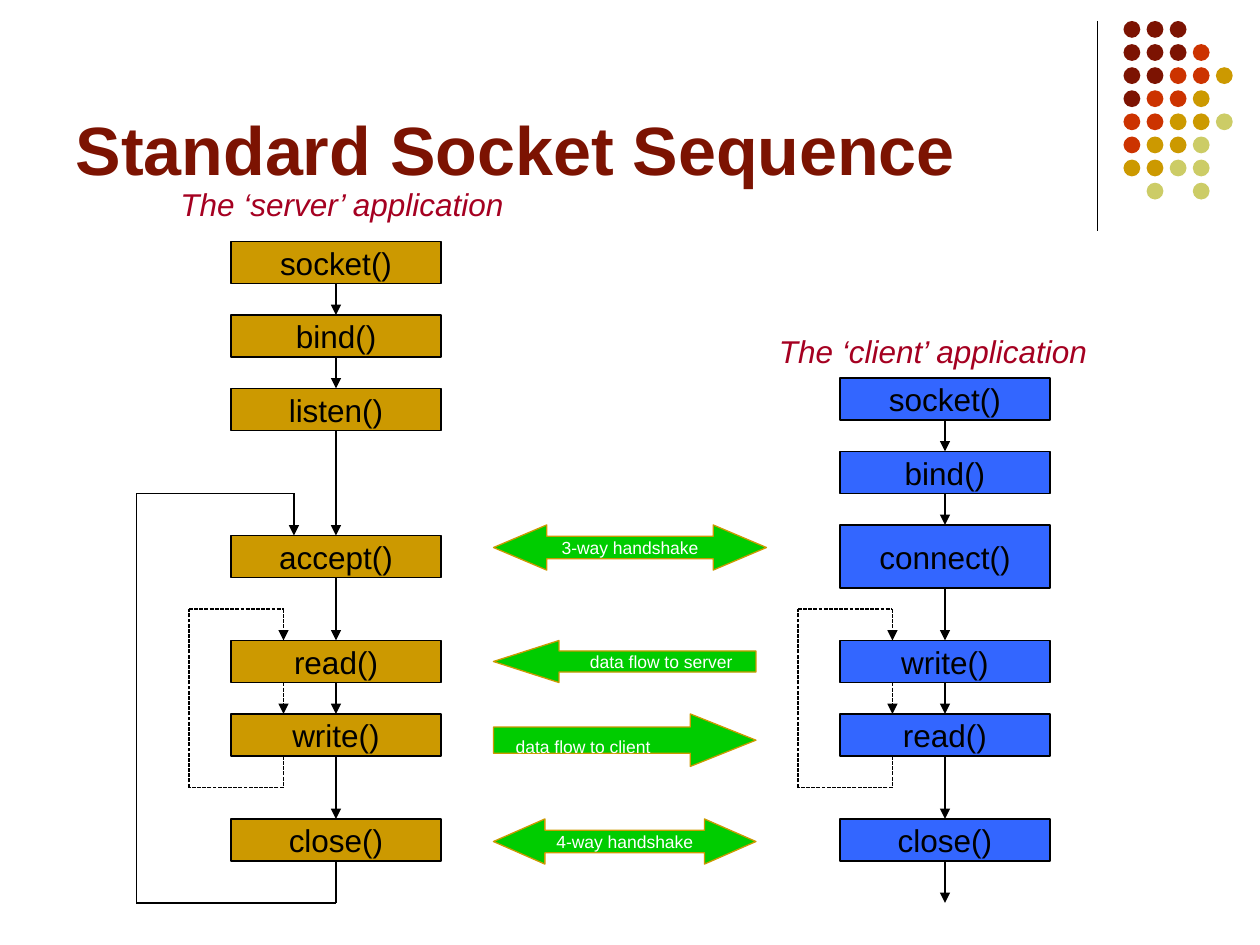
from lxml import etree
from pptx import Presentation
from pptx.dml.color import RGBColor
from pptx.enum.dml import MSO_LINE
from pptx.enum.shapes import MSO_CONNECTOR, MSO_SHAPE
from pptx.enum.text import MSO_ANCHOR, MSO_AUTO_SIZE, PP_ALIGN
from pptx.oxml.ns import qn
from pptx.util import Pt

SCALE = 7620  # EMU per px, 120 px to the inch
STRAIGHT = MSO_CONNECTOR.STRAIGHT
RECTANGLE, OVAL = MSO_SHAPE.RECTANGLE, MSO_SHAPE.OVAL
BOTH_WAYS = MSO_SHAPE.LEFT_RIGHT_ARROW
TO_LEFT, TO_RIGHT = MSO_SHAPE.LEFT_ARROW, MSO_SHAPE.RIGHT_ARROW
DASHED = MSO_LINE.SQUARE_DOT
LEFT, CENTER = PP_ALIGN.LEFT, PP_ALIGN.CENTER
TOP, MIDDLE, BOTTOM = MSO_ANCHOR.TOP, MSO_ANCHOR.MIDDLE, MSO_ANCHOR.BOTTOM
TOP_SIDE, BOTTOM_SIDE = 0, 2

BLACK = RGBColor(0x00, 0x00, 0x00)
WHITE = RGBColor(0xFF, 0xFF, 0xFF)
MAROON = RGBColor(0x7C, 0x13, 0x02)
RED = RGBColor(0xCC, 0x33, 0x00)
GOLD = RGBColor(0xCC, 0x99, 0x00)
LIME = RGBColor(0xCC, 0xCC, 0x66)
BLUE = RGBColor(0x33, 0x66, 0xFF)
GREEN = RGBColor(0x00, 0xCC, 0x00)
CRIMSON = RGBColor(0xA5, 0x00, 0x21)

TITLE = "Standard Socket Sequence"
DOT_COLORS = {"M": MAROON, "R": RED, "G": GOLD, "L": LIME}
DOT_ROWS = ["MMM", "MMMR", "MMRRG", "MRRG", "RRGGL", "RGGL", "GGLL", ".L.L"]
DOT_LEFT, DOT_TOP, DOT_SIZE, DOT_PITCH = 1070, 20, 16, 22

BOX_WIDTH, BOX_HEIGHT = 200, 40
# Each step: call, top, height
SERVER = {
    "caption": ("The ‘server’ application", 160, 170, 332, 48),
    "left": 220, "fill": GOLD,
    "steps": [("socket()", 230, BOX_HEIGHT), ("bind()", 300, BOX_HEIGHT),
              ("listen()", 370, BOX_HEIGHT), ("accept()", 510, BOX_HEIGHT),
              ("read()", 610, BOX_HEIGHT), ("write()", 680, BOX_HEIGHT),
              ("close()", 780, BOX_HEIGHT)],
    "exit": [(320, 820), (320, 860), (130, 860), (130, 470), (280, 470), (280, 510)],
}
CLIENT = {
    "caption": ("The ‘client’ application", 730, 310, 319, 48),
    "left": 800, "fill": BLUE,
    "steps": [("socket()", 360, BOX_HEIGHT), ("bind()", 430, BOX_HEIGHT),
              ("connect()", 500, 60), ("write()", 610, BOX_HEIGHT),
              ("read()", 680, BOX_HEIGHT), ("close()", 780, BOX_HEIGHT)],
    "exit": [(900, 820), (900, 860)],
}
# Repeat loops, measured from the left edge of the boxes
REPEAT_LOOP = [(50, 720), (50, 750), (-40, 750), (-40, 580), (50, 580), (50, 610)]
REPEAT_STEP = [(50, 650), (50, 680)]

PLAIN_MARGINS = (12, 6, 12, 6)
# Each flow: text, shape, top, width, height, head length ratio, margins
FLOWS = [
    ("3-way handshake", BOTH_WAYS, 500, 260, 43, 1.18, PLAIN_MARGINS),
    ("data flow to server", TO_LEFT, 610, 250, 40, 1.56, (50, 6, 12, 6)),
    ("data flow to client", TO_RIGHT, 680, 250, 50, 1.25, (12, 12, 60, 0)),
    ("4-way handshake", BOTH_WAYS, 780, 250, 43, 1.14, PLAIN_MARGINS),
]
FLOW_LEFT = 470


def px(*lengths):
    return [length * SCALE for length in lengths]


def write(shape, text, align, anchor, margins=PLAIN_MARGINS, wrap=False, **font):
    frame = shape.text_frame
    frame.auto_size = MSO_AUTO_SIZE.NONE
    frame.word_wrap = wrap
    frame.vertical_anchor = anchor
    for side, margin in zip(("left", "top", "right", "bottom"), px(*margins)):
        setattr(frame, f"margin_{side}", margin)
    para = frame.paragraphs[0]
    para.alignment = align
    span = para.add_run()
    span.text = text
    span.font.name = "Arial"
    span.font.color.rgb = font.pop("color")
    for name, value in font.items():
        setattr(span.font, name, value)


def add_filled(slide, kind, place, fill, line=None):
    shape = slide.shapes.add_shape(kind, *px(*place))
    shape.shadow.inherit = False
    shape.fill.solid()
    shape.fill.fore_color.rgb = fill
    if line is None:
        shape.line.fill.background()
    else:
        shape.line.color.rgb = line
        shape.line.width = Pt(0.75)
    return shape


def add_line(slide, start, end, arrow=False, dashed=False):
    line = slide.shapes.add_connector(STRAIGHT, *px(*start, *end))
    line.line.color.rgb = BLACK
    line.line.width = Pt(0.75)
    if dashed:
        line.line.dash_style = DASHED
    if arrow:
        etree.SubElement(line.line._get_or_add_ln(), qn("a:tailEnd"), type="triangle")
    etree.SubElement(line._element.spPr, qn("a:effectLst"))
    return line


def add_route(slide, points, dashed=False):
    """Draw segments through the points, the last one with an arrowhead."""
    last = len(points) - 2
    return [add_line(slide, start, end, arrow=index == last, dashed=dashed)
            for index, (start, end) in enumerate(zip(points, points[1:]))]


def add_application(slide, application):
    left = application["left"]
    middle = left + BOX_WIDTH // 2
    boxes = []
    for call, top, height in application["steps"]:
        box = add_filled(slide, RECTANGLE, (left, top, BOX_WIDTH, height),
                         application["fill"], BLACK)
        write(box, call, CENTER, MIDDLE, size=Pt(18), color=BLACK)
        boxes.append(box)

    steps = application["steps"]
    for index, ((_, top, height), (_, next_top, _)) in enumerate(zip(steps, steps[1:])):
        line = add_line(slide, (middle, top + height), (middle, next_top), arrow=True)
        line.begin_connect(boxes[index], BOTTOM_SIDE)
        line.end_connect(boxes[index + 1], TOP_SIDE)

    add_route(slide, application["exit"])[0].begin_connect(boxes[-1], BOTTOM_SIDE)
    for route in (REPEAT_LOOP, REPEAT_STEP):
        add_route(slide, [(left + x, y) for x, y in route], dashed=True)

    text, *place = application["caption"]
    caption = slide.shapes.add_textbox(*px(*place))
    write(caption, text, LEFT, TOP, size=Pt(18), italic=True, color=CRIMSON)


def add_dots(slide):
    for row, colors in enumerate(DOT_ROWS):
        for column, key in enumerate(colors):
            if key in DOT_COLORS:
                place = (DOT_LEFT + column * DOT_PITCH, DOT_TOP + row * DOT_PITCH,
                         DOT_SIZE, DOT_SIZE)
                add_filled(slide, OVAL, place, DOT_COLORS[key])


def add_flows(slide):
    for text, kind, top, width, height, head, margins in FLOWS:
        arrow = add_filled(slide, kind, (FLOW_LEFT, top, width, height), GREEN, GOLD)
        arrow.adjustments[0] = 0.5
        arrow.adjustments[1] = head
        write(arrow, text, CENTER, MIDDLE, margins, size=Pt(10), color=WHITE)


def main():
    deck = Presentation()
    deck.slide_width, deck.slide_height = px(1200, 900)
    slide = deck.slides.add_slide(deck.slide_layouts[5])

    title = slide.shapes.title
    title.left, title.top, title.width, title.height = px(60, 16, 990, 170)
    write(title, TITLE, LEFT, BOTTOM, wrap=True, size=Pt(39), bold=True, color=MAROON)

    add_line(slide, (1045, 20), (1045, 220))
    add_dots(slide)
    for application in (SERVER, CLIENT):
        add_application(slide, application)
    add_flows(slide)
    deck.save("out.pptx")


if __name__ == "__main__":
    main()
